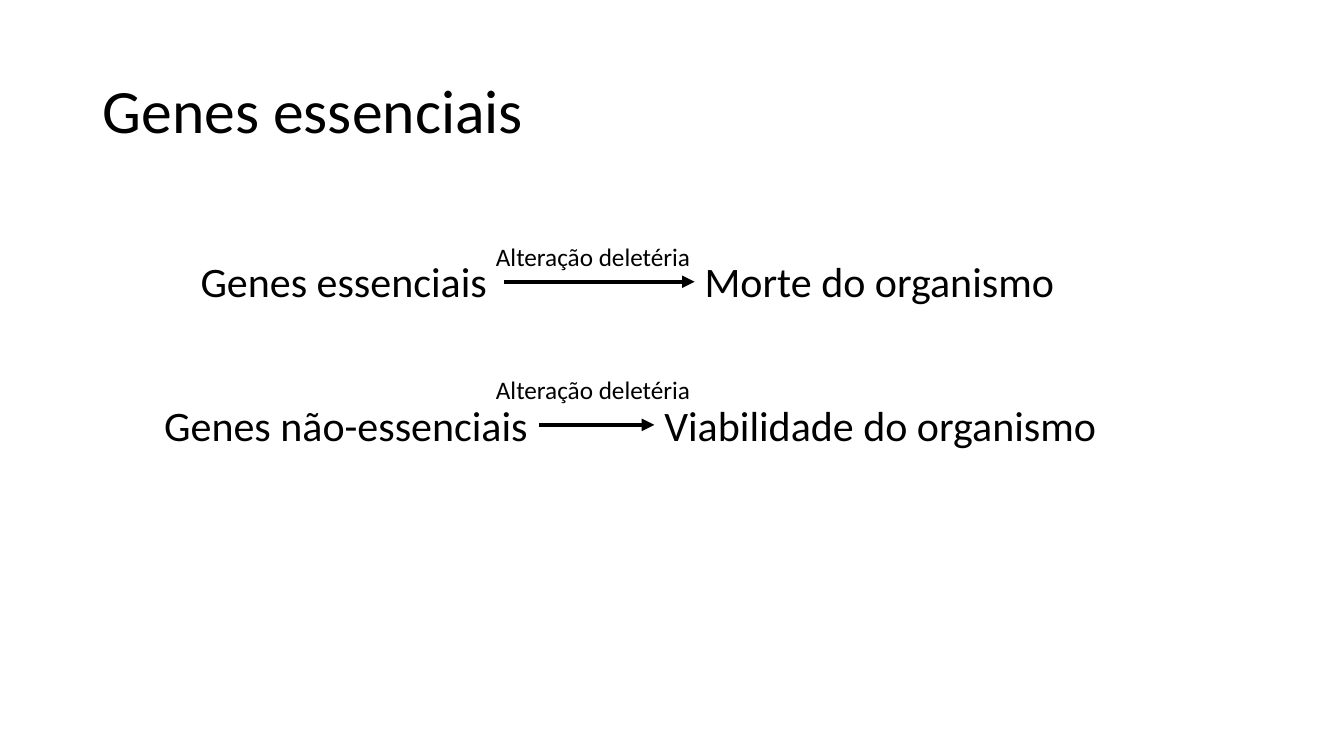
from pptx import Presentation
from pptx.dml.color import RGBColor as Rgb
from pptx.enum.shapes import MSO_CONNECTOR as Conn
from pptx.enum.text import MSO_ANCHOR as Anchor, PP_ALIGN as Align
from pptx.oxml.ns import qn
from pptx.util import Inches, Pt
from lxml.etree import SubElement

# Content: cause (text, left, width), effect (text, left, width), top, label top
TITLE = "Genes essenciais"
LABEL = "Alteração deletéria"
ROWS = [
    (("Genes essenciais", 1.89, 3.11), ("Morte do organismo", 6.89, 3.71), 2.49, 2.34),
    (("Genes não-essenciais", 1.53, 3.82), ("Viabilidade do organismo", 6.49, 4.51), 3.91, 3.66),
]

THEME = {"font": "Calibri", "ink": Rgb(0, 0, 0), "title": Pt(44),
         "term": Pt(30), "label": Pt(18), "line": Pt(3)}
TERM_H, LABEL_H = 0.61, 0.4
LABEL_X, LABEL_W = 4.82, 2.21


def write(shape, text, size, **form):
    frame = shape.text_frame
    for name, value in {"word_wrap": True, **form}.items():
        setattr(frame, name, value)
    para = frame.paragraphs[0]
    para.alignment = Align.LEFT
    run = para.add_run()
    run.text = text
    for name, value in {"name": THEME["font"], "size": THEME[size]}.items():
        setattr(run.font, name, value)
    run.font.color.rgb = THEME["ink"]
    return para


def add_text(slide, text, box, size):
    write(slide.shapes.add_textbox(*map(Inches, box)), text, size)


def add_arrow(slide, start, end, y):
    line = slide.shapes.add_connector(
        Conn.STRAIGHT, Inches(start), Inches(y), Inches(end), Inches(y))
    line.line.color.rgb = THEME["ink"]
    line.line.width = THEME["line"]
    SubElement(line.line._get_or_add_ln(), qn("a:tailEnd"), type="triangle")
    SubElement(line._element.spPr, qn("a:effectLst"))


def main():
    deck = Presentation()
    deck.slide_width, deck.slide_height = Inches(13.33), Inches(7.5)
    slide = deck.slides.add_slide(deck.slide_layouts[5])

    # Title
    title = slide.shapes.title
    place = {"left": 0.92, "top": 0.4, "width": 11.5, "height": 1.45}
    for name, value in place.items():
        setattr(title, name, Inches(value))
    para = write(title, TITLE, "title", vertical_anchor=Anchor.MIDDLE)
    para.line_spacing = 0.9

    # Each row: cause, arrow across the gap, effect, label above
    for cause, effect, top, label_y in ROWS:
        for text, left, width in (cause, effect):
            add_text(slide, text, (left, top, width, TERM_H), "term")
        add_arrow(slide, cause[1] + cause[2], effect[1], top + TERM_H / 2)
        add_text(slide, LABEL, (LABEL_X, label_y, LABEL_W, LABEL_H), "label")

    deck.save("out.pptx")


if __name__ == "__main__":
    main()
